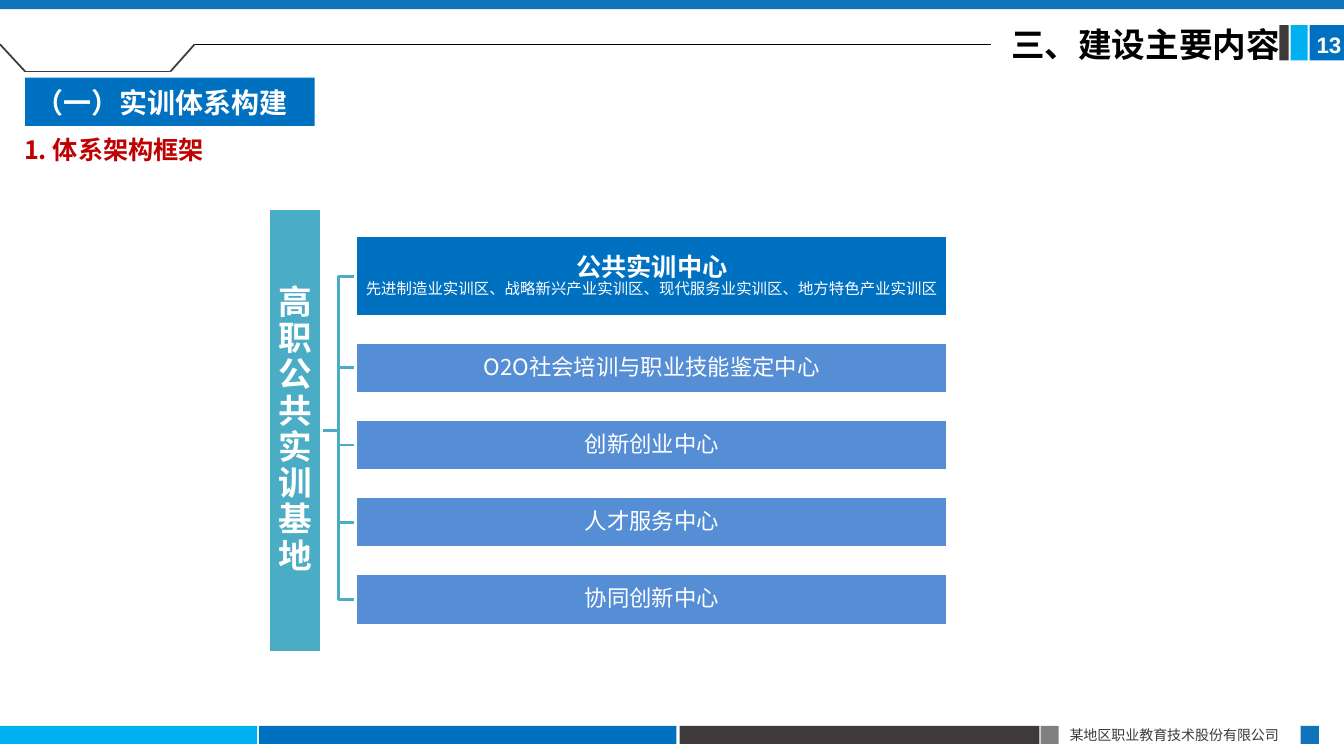
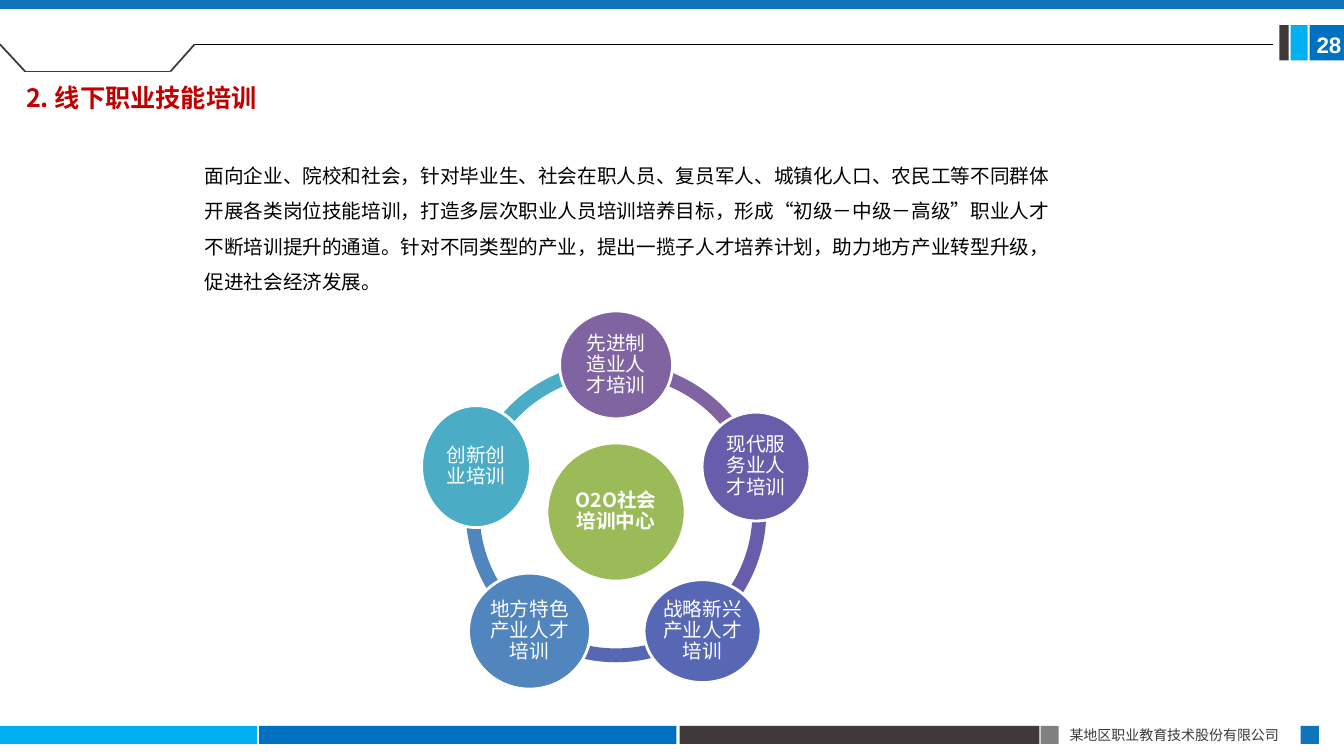
"""Build two training-base slides that share one header and footer."""
import math

from lxml import etree
from pptx import Presentation
from pptx.dml.color import RGBColor
from pptx.enum import shapes, text
from pptx.oxml import ns
from pptx.util import Inches, Pt

WHITE = RGBColor(0xFF, 0xFF, 0xFF)
BLACK = RGBColor(0, 0, 0)
CHARCOAL = RGBColor(0x3E, 0x3A, 0x39)
GRAY = RGBColor(0x80, 0x80, 0x80)
RED = RGBColor(0xC0, 0, 0)
SKY = RGBColor(0, 0xB0, 0xF0)
BLUE = RGBColor(0, 0x70, 0xC0)
BAND_BLUE = RGBColor(0x10, 0x74, 0xBB)
SOFT_BLUE = RGBColor(0x55, 0x8E, 0xD5)
TEAL = RGBColor(0x4B, 0xAC, 0xC6)
STEEL = RGBColor(0x51, 0x85, 0xBD)
INDIGO = RGBColor(0x57, 0x67, 0xB4)
VIOLET = RGBColor(0x68, 0x5D, 0xAB)
PURPLE = RGBColor(0x80, 0x64, 0xA2)
GREEN = RGBColor(0x9B, 0xBB, 0x59)

CJK = "Noto Sans CJK SC"
SHAPE = shapes.MSO_SHAPE
CONNECTOR = shapes.MSO_CONNECTOR
CENTER = text.PP_ALIGN.CENTER


def write(tf, words, size, color=WHITE, bold=False, font=CJK, align=None, spacing=None):
    p = tf.paragraphs[0]
    if p.runs:
        p = tf.add_paragraph()
    p.alignment = align
    p.line_spacing = spacing
    r = p.add_run()
    r.text = words
    r.font.size = Pt(size)
    r.font.bold = bold
    r.font.color.rgb = color
    r.font.name = font
    ea = etree.SubElement(r._r.get_or_add_rPr(), ns.qn("a:ea"))
    ea.set("typeface", CJK)


class Deck:
    def __init__(self):
        self.prs = Presentation()
        self.prs.slide_width = Inches(13.33)
        self.prs.slide_height = Inches(7.5)
        self.s = None

    def shape(self, kind, x, y, w, h, fill, outline=None, inset=None):
        sp = self.s.shapes.add_shape(kind, Inches(x), Inches(y), Inches(w), Inches(h))
        sp.shadow.inherit = False
        sp.fill.solid()
        sp.fill.fore_color.rgb = fill
        if outline is None:
            sp.line.fill.background()
        else:
            sp.line.color.rgb = outline
            sp.line.width = Pt(2)
        tf = sp.text_frame
        tf.word_wrap = True
        tf.vertical_anchor = text.MSO_ANCHOR.MIDDLE
        if inset is not None:
            tf.margin_left = tf.margin_right = Inches(inset)
            tf.margin_top = tf.margin_bottom = Inches(inset)
        return sp

    def rect(self, *args, **kwargs):
        return self.shape(SHAPE.RECTANGLE, *args, **kwargs)

    def circle(self, cx, cy, w, h, fill, words, bold=False):
        sp = self.shape(SHAPE.OVAL, cx - w / 2, cy - h / 2, w, h, fill, WHITE, 0.02)
        write(sp.text_frame, words, 14, bold=bold, align=CENTER, spacing=0.9)

    def textbox(self, x, y, w, h, words, size, **fmt):
        sp = self.s.shapes.add_textbox(Inches(x), Inches(y), Inches(w), Inches(h))
        sp.text_frame.word_wrap = True
        write(sp.text_frame, words, size, **fmt)

    def line(self, x1, y1, x2, y2, color, width, kind=CONNECTOR.STRAIGHT):
        c = self.s.shapes.add_connector(kind, Inches(x1), Inches(y1), Inches(x2), Inches(y2))
        c.line.color.rgb = color
        c.line.width = Pt(width)
        etree.SubElement(c._element.spPr, ns.qn("a:effectLst"))
        return c

    def heading(self, x, y, w, words):
        self.textbox(x, y, w, 0.4, words, 18, color=RED, bold=True)

    def new_slide(self, page, rule_end):
        self.s = self.prs.slides.add_slide(self.prs.slide_layouts[6])
        self.rect(0, 0, 13.33, 0.09, BAND_BLUE)
        for x, w, fill in ((0, 2.55, SKY), (2.57, 4.14, BLUE), (6.74, 3.57, CHARCOAL),
                           (10.32, 0.18, GRAY), (12.9, 0.18, BAND_BLUE)):
            self.rect(x, 7.2, w, 0.18, fill)
        for x, w, fill in ((12.69, 0.09, CHARCOAL), (12.8, 0.17, SKY), (12.99, 0.34, BLUE)):
            self.rect(x, 0.25, w, 0.35, fill)
        self.textbox(10.51, 7.16, 2.4, 0.27, "某地区职业教育技术股份有限公司", 10, color=CHARCOAL)
        self.textbox(12.96, 0.26, 0.5, 0.37, page, 16, bold=True, font="Arial")
        notch = ((0, 0.44), (0.25, 0.71), (1.69, 0.71), (1.93, 0.44))
        for start, end in zip(notch, notch[1:]):
            self.line(*start, *end, CHARCOAL, 1.25)
        self.line(1.93, 0.44, rule_end, 0.44, BLACK, 0.5)


def framework_slide(deck):
    deck.new_slide("13", 9.83)
    deck.textbox(9.93, 0.23, 3.03, 0.5, "三、建设主要内容", 24,
                 color=BLACK, bold=True, spacing=0.9)
    section = deck.rect(0.25, 0.77, 2.87, 0.48, BLUE)
    write(section.text_frame, "（一）实训体系构建", 20, bold=True, font="Calibri",
          align=text.PP_ALIGN.LEFT)
    deck.heading(0.14, 1.28, 2.32, "1. 体系架构框架")

    centers = ("公共实训中心", "O2O社会培训与职业技能鉴定中心", "创新创业中心",
               "人才服务中心", "协同创新中心")
    heights = [0.8] + [0.51] * 4
    top, stack_height = 2.34, 3.86
    gap = (stack_height - sum(heights)) / 4
    tops = [top + sum(heights[:i]) + gap * i for i in range(5)]
    elbows = [deck.line(3.19, 4.27, 3.53, y + h / 2, TEAL, 2, CONNECTOR.ELBOW)
              for y, h in zip(tops, heights)]
    base = deck.rect(2.66, 2.07, 0.53, 4.4, TEAL, WHITE, 0.02)
    write(base.text_frame, "高职公共实训基地", 24, bold=True, align=CENTER, spacing=0.9)
    for i, (words, y, h, elbow) in enumerate(zip(centers, tops, heights, elbows)):
        main = i == 0
        box = deck.rect(3.53, y, 5.87, h, BLUE if main else SOFT_BLUE, WHITE, 0.01)
        write(box.text_frame, words, 18 if main else 16, bold=main,
              align=CENTER, spacing=0.9)
        if main:
            write(box.text_frame,
                  "先进制造业实训区、战略新兴产业实训区、现代服务业实训区、地方特色产业实训区",
                  11, align=CENTER, spacing=0.9)
        elbow.begin_connect(base, 3)
        elbow.end_connect(box, 1)


def training_slide(deck):
    deck.new_slide("28", 12.63)
    deck.heading(0.16, 0.77, 2.52, "2. 线下职业技能培训")
    deck.textbox(1.93, 1.46, 8.74, 1.51,
                 "面向企业、院校和社会，针对毕业生、社会在职人员、复员军人、城镇化人口、"
                 "农民工等不同群体开展各类岗位技能培训，打造多层次职业人员培训培养目标，"
                 "形成“初级－中级－高级”职业人才不断培训提升的通道。针对不同类型的产业，"
                 "提出一揽子人才培养计划，助力地方产业转型升级，促进社会经济发展。",
                 14, color=BLACK, spacing=1.5)

    cx, cy, radius, ring = 6.11, 5.08, 1.46, 2.98
    courses = (("先进制造业人才培训", 1.12, 1.07, PURPLE),
               ("现代服务业人才培训", 1.07, 1.08, VIOLET),
               ("战略新兴产业人才培训", 1.16, 1.02, INDIGO),
               ("地方特色产业人才培训", 1.21, 1.15, STEEL),
               ("创新创业培训", 1.08, 1.21, TEAL))
    turn, step = 216, 43.2
    for i, (_, _, _, color) in enumerate(courses):
        arc = deck.shape(SHAPE.BLOCK_ARC, cx - ring / 2, cy - ring / 2, ring, ring, color)
        start = 162 + step * i
        arc.adjustments[0] = start % turn
        arc.adjustments[1] = (start + step) % turn
        arc.adjustments[2] = 0.046
    deck.circle(cx, cy, 1.37, 1.37, GREEN, "O2O社会培训中心", bold=True)
    for i, (words, w, h, color) in enumerate(courses):
        angle = math.radians(72 * i)
        deck.circle(cx + radius * math.sin(angle), cy - radius * math.cos(angle),
                    w, h, color, words)


def main():
    deck = Deck()
    framework_slide(deck)
    training_slide(deck)
    deck.prs.save("out.pptx")


if __name__ == "__main__":
    main()
